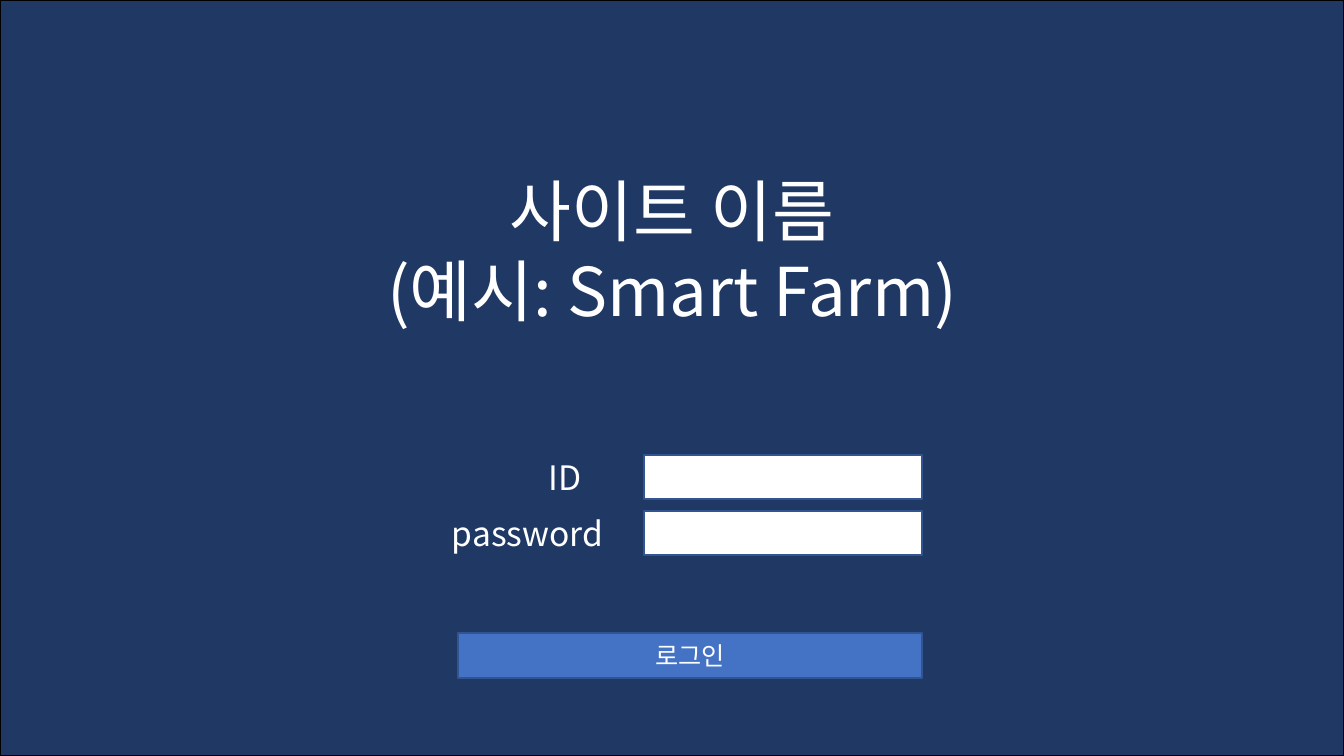
from dataclasses import dataclass

from lxml import etree
from pptx import Presentation
from pptx.dml.color import RGBColor
from pptx.enum.shapes import MSO_SHAPE
from pptx.enum.text import MSO_ANCHOR, MSO_AUTO_SIZE, PP_ALIGN
from pptx.oxml.ns import qn
from pptx.util import Emu, Pt

RECTANGLE = MSO_SHAPE.RECTANGLE
MIDDLE = MSO_ANCHOR.MIDDLE
NO_AUTOFIT = MSO_AUTO_SIZE.NONE
CENTER = PP_ALIGN.CENTER
TITLE_ONLY = 5
EMU_PER_PX = 914400 / 100.8
PAGE_WIDTH, PAGE_HEIGHT = 1344, 756


@dataclass(frozen=True)
class Theme:
    font: str = "Noto Sans CJK KR"
    navy: str = "203864"
    button: str = "4472C4"
    outline: str = "325491"
    border: str = "000000"
    white: str = "FFFFFF"
    title_size: int = 48
    label_size: int = 24
    button_size: int = 18


THEME = Theme()


def px(length):
    return Emu(round(length * EMU_PER_PX))


def set_attributes(target, values):
    for name, value in values.items():
        setattr(target, name, value)


def place(element, left, top, width, height):
    set_attributes(element, {
        "left": px(left), "top": px(top),
        "width": px(width), "height": px(height),
    })


def paint(element, fill, outline):
    element.fill.solid()
    element.fill.fore_color.rgb = RGBColor.from_string(fill)
    element.line.color.rgb = RGBColor.from_string(outline)
    element.line.width = Pt(1)


def write(element, wording, size):
    frame = element.text_frame
    frame.text = wording
    set_attributes(frame, {
        "word_wrap": True,
        "auto_size": NO_AUTOFIT,
        "vertical_anchor": MIDDLE,
    })
    for paragraph in frame.paragraphs:
        set_attributes(paragraph, {"alignment": CENTER, "line_spacing": 1.0})
        for run in paragraph.runs:
            set_attributes(run.font, {"name": THEME.font, "size": Pt(size)})
            run.font.color.rgb = RGBColor.from_string(THEME.white)
            east_asian = etree.SubElement(run.font._element, qn("a:ea"))
            east_asian.set("typeface", THEME.font)


def add_box(slide, bounds, fill, outline):
    box = slide.shapes.add_shape(RECTANGLE, *map(px, bounds))
    box.shadow.inherit = False
    paint(box, fill, outline)
    return box


def add_backdrop(slide):
    bounds = (0, 0, PAGE_WIDTH, PAGE_HEIGHT)
    backdrop = add_box(slide, bounds, THEME.navy, THEME.border)
    slide.shapes.title._element.addprevious(backdrop._element)


def fill_title(slide, wording):
    title = slide.shapes.title
    place(title, 280, 144, 784, 211)
    paint(title, THEME.navy, THEME.navy)
    write(title, wording, THEME.title_size)


def add_login_field(slide, wording, label_left, top):
    label_right, height = 627, 44
    label_bounds = (label_left, top, label_right - label_left, height)
    label = add_box(slide, label_bounds, THEME.navy, THEME.navy)
    write(label, wording, THEME.label_size)
    add_box(slide, (644, top, 278, height), THEME.white, THEME.outline)


def add_login_button(slide, wording):
    button = add_box(slide, (458, 633, 464, 45), THEME.button, THEME.outline)
    write(button, wording, THEME.button_size)


def main():
    deck = Presentation()
    set_attributes(deck, {
        "slide_width": px(PAGE_WIDTH), "slide_height": px(PAGE_HEIGHT),
    })
    slide = deck.slides.add_slide(deck.slide_layouts[TITLE_ONLY])
    add_backdrop(slide)
    fill_title(slide, "사이트 이름\n(예시: Smart Farm)")
    fields = (("ID", 503), ("password", 428))
    for row, (wording, label_left) in enumerate(fields):
        add_login_field(slide, wording, label_left, 455 + row * 56)
    add_login_button(slide, "로그인")
    deck.save("out.pptx")


if __name__ == "__main__":
    main()
